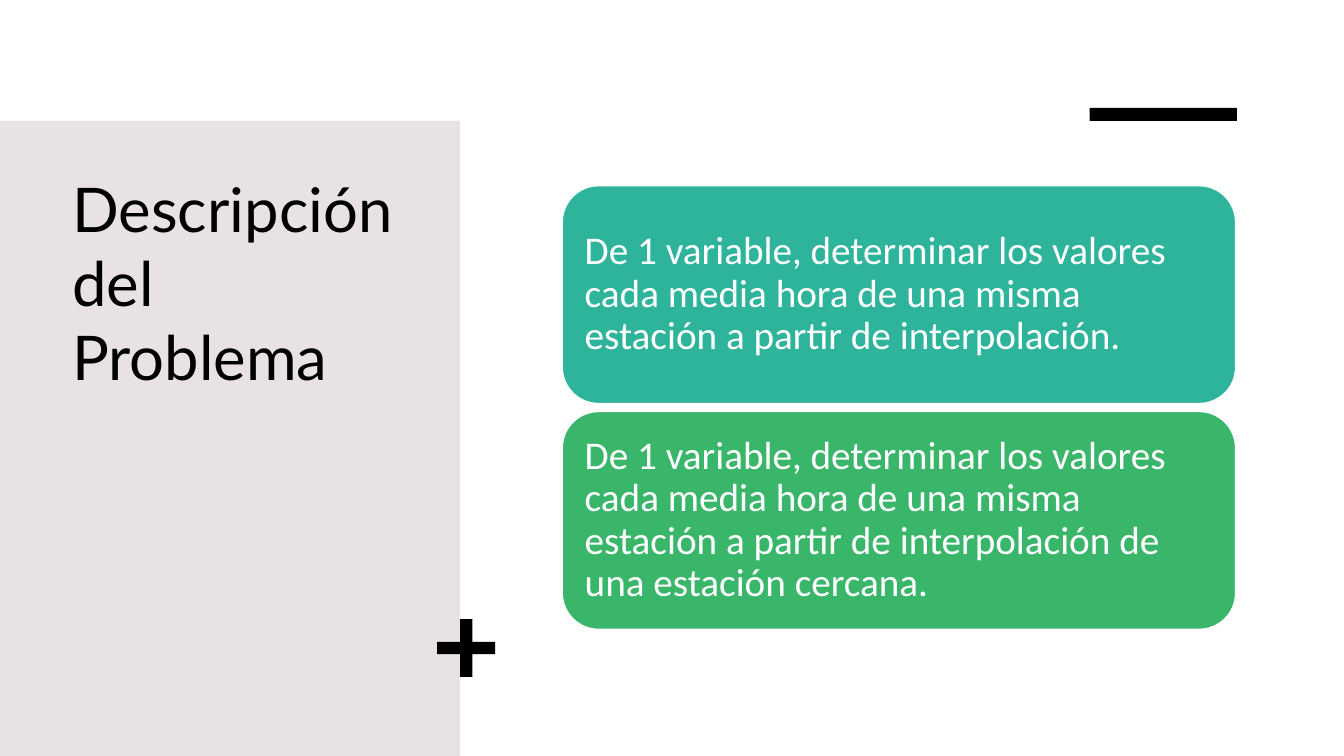
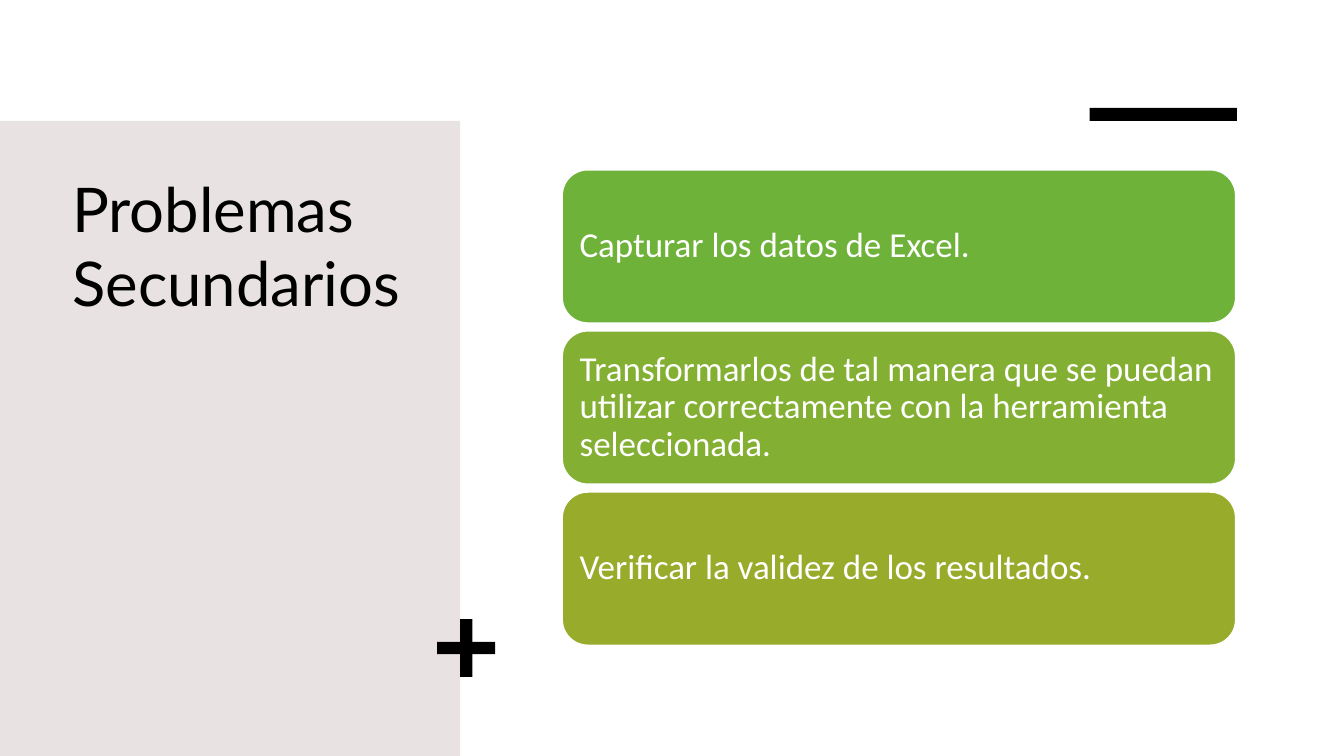
import dataclasses

import pptx
import pptx.dml.color
import pptx.enum.shapes
import pptx.enum.text
import pptx.util

Cm = pptx.util.Cm
Pt = pptx.util.Pt
Kind = pptx.enum.shapes.MSO_SHAPE
Anchor = pptx.enum.text.MSO_ANCHOR


@dataclasses.dataclass(frozen=True)
class Theme:
    ink: str = "000000"
    paper: str = "FFFFFF"
    panel: str = "E8E3E2"
    head: str = "Lato"
    body: str = "Calibri"
    large: int = 44


class Deck:
    """Hold the style and the current slide, and draw each kind of element."""

    def __init__(self, theme):
        self.theme = theme
        self.file = pptx.Presentation()
        self.file.slide_width = Cm(33.87)
        self.file.slide_height = Cm(19.05)
        self.slide = None

    def page(self, title):
        self.slide = self.file.slides.add_slide(self.file.slide_layouts[5])
        self.shape(Kind.RECTANGLE, (0, 3.05, 11.6, 16), self.theme.panel)
        self.title(title)
        self.shape(Kind.RECTANGLE, (27.46, 2.72, 3.71, 0.33), self.theme.ink)
        plus = self.shape(Kind.CROSS, (11.02, 15.6, 1.46, 1.46), self.theme.ink)
        plus.adjustments[0] = 0.395

    def color(self, code):
        return pptx.dml.color.RGBColor.from_string(code)

    def shape(self, kind, box, fill):
        item = self.slide.shapes.add_shape(kind, *map(Cm, box))
        item.shadow.inherit = False
        item.fill.solid()
        item.fill.fore_color.rgb = self.color(fill)
        item.line.fill.background()
        return item

    def label(self, item, text, name, size, tint, space, frame):
        for key, value in frame.items():
            setattr(item.text_frame, key, value)
        item.text_frame.text = text
        para = item.text_frame.paragraphs[0]
        para.alignment = pptx.enum.text.PP_ALIGN.LEFT
        para.line_spacing = space
        for key, value in {"name": name, "size": Pt(size)}.items():
            setattr(para.font, key, value)
        para.font.color.rgb = self.color(tint)

    def title(self, text):
        item = self.slide.shapes.title
        box = {"left": 1.57, "top": 4.19, "width": 8.89, "height": 11.18}
        for key, value in box.items():
            setattr(item, key, Cm(value))
        self.slide.shapes.element.append(item.element)
        frame = {"word_wrap": True, "vertical_anchor": Anchor.TOP,
                 "auto_size": pptx.enum.text.MSO_AUTO_SIZE.NONE}
        self.label(item, text, self.theme.head, self.theme.large,
                   self.theme.ink, 1.0, frame)

    def cards(self, rows, size, tall, inset):
        gap, middle = 0.2, 10.27
        step = tall + gap
        top = middle - (len(rows) * step - gap) / 2
        sides = ("left", "top", "right", "bottom")
        frame = {f"margin_{side}": Cm(inset) for side in sides}
        frame |= {"word_wrap": True, "vertical_anchor": Anchor.MIDDLE}
        for index, (text, fill) in enumerate(rows):
            box = (14.17, top + index * step, 16.97, tall)
            card = self.shape(Kind.ROUNDED_RECTANGLE, box, fill)
            card.line.color.rgb = self.color(self.theme.paper)
            card.line.width = Pt(1)
            self.label(card, text, self.theme.body, size,
                       self.theme.paper, 0.9, frame)


def main():
    deck = Deck(Theme())
    deck.page("Descripción del Problema")
    deck.cards([
        ("De 1 variable, determinar los valores cada media hora de una misma "
         "estación a partir de interpolación.", "2EB49B"),
        ("De 1 variable, determinar los valores cada media hora de una misma "
         "estación a partir de interpolación de una estación cercana.", "3AB66A"),
    ], size=28, tall=5.49, inset=0.3)
    deck.page("Problemas Secundarios")
    deck.cards([
        ("Capturar los datos de Excel.", "6EB239"),
        ("Transformarlos de tal manera que se puedan utilizar correctamente "
         "con la herramienta seleccionada.", "83AF32"),
        ("Verificar la validez de los resultados.", "99AB2B"),
    ], size=25, tall=3.86, inset=0.25)
    deck.file.save("out.pptx")


if __name__ == "__main__":
    main()
